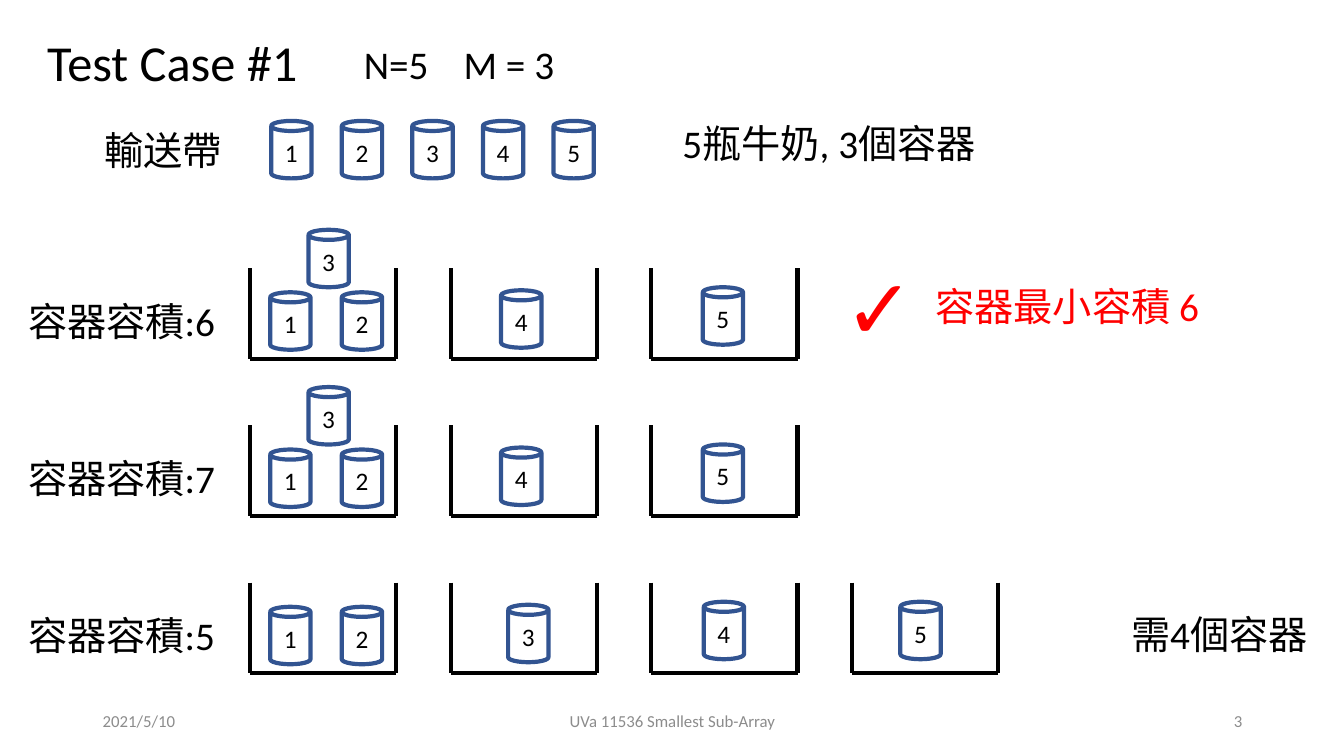
from lxml import etree
from pptx import Presentation
from pptx import util as u
from pptx.dml.color import RGBColor
from pptx.enum import shapes, text
from pptx.oxml import ns

COLORS = {"ink": "000000", "can": "325491", "answer": "FF0000", "footer": "8C8C8C"}
LATIN, CJK = "Calibri", "Noto Sans CJK SC"
GRID_LEFT, GRID_TOP = 2.48, 2.66
COLUMN, ROW = 1.99, 1.56
BOX_WIDTH, BOX_HEIGHT = 1.45, 0.9
CAN_WIDTH, CAN_HEIGHT = 0.4, 0.57
BELT_PITCH = 0.7
LABEL_DROP = 0.24
PILE = [("1", 0.2, 0.24), ("2", 0.91, 0.24), ("3", 0.58, -0.38)]
TRIAL = [PILE, [("4", 0.5, 0.22)], [("5", 0.51, 0.19)]]
TRIALS = [
    ("6", TRIAL),
    ("7", TRIAL),
    ("5", [PILE[:2], [("3", 0.57, 0.22)], [("4", 0.52, 0.19)], [("5", 0.48, 0.19)]]),
]


def rgb(name):
    """Return a named colour."""
    return RGBColor.from_string(COLORS[name])


def write(frame, words, size=28, color="ink", align="LEFT", anchor="TOP", tab=None):
    """Fill a text frame with one formatted paragraph."""
    frame.word_wrap = True
    frame.vertical_anchor = getattr(text.MSO_ANCHOR, anchor)
    paragraph = frame.paragraphs[0]
    paragraph.alignment = getattr(text.PP_ALIGN, align)
    if tab:
        stops = etree.SubElement(paragraph._p.get_or_add_pPr(), ns.qn("a:tabLst"))
        etree.SubElement(stops, ns.qn("a:tab"), pos=str(u.Inches(tab)), algn="l")
    run = paragraph.add_run()
    run.text = words
    run.font.size = u.Pt(size)
    run.font.name = LATIN
    run.font.color.rgb = rgb(color)
    etree.SubElement(run._r.get_or_add_rPr(), ns.qn("a:ea"), typeface=CJK)


def label(slide, words, left, top, width, height=0.57, grow=True, **style):
    """Place a text box."""
    box = slide.shapes.add_textbox(*map(u.Inches, (left, top, width, height)))
    write(box.text_frame, words, **style)
    if grow:
        box.text_frame.auto_size = text.MSO_AUTO_SIZE.SHAPE_TO_FIT_TEXT


def milk_can(slide, number, left, top):
    """Draw a numbered can of milk."""
    can = slide.shapes.add_shape(
        shapes.MSO_SHAPE.CAN, *map(u.Inches, (left, top, CAN_WIDTH, CAN_HEIGHT)))
    can.shadow.inherit = False
    can.fill.background()
    can.line.color.rgb = rgb("can")
    can.line.width = u.Pt(3)
    write(can.text_frame, number, size=18, align="CENTER", anchor="MIDDLE")


def container(slide, left, top):
    """Draw an open container from three walls."""
    right, bottom = left + BOX_WIDTH, top + BOX_HEIGHT
    walls = slide.shapes.add_group_shape()
    for ends in ((left, top, left, bottom), (left, bottom, right, bottom),
                 (right, top, right, bottom)):
        wall = walls.shapes.add_connector(
            shapes.MSO_CONNECTOR.STRAIGHT, *map(u.Inches, ends))
        wall.line.color.rgb = rgb("ink")
        wall.line.width = u.Pt(3)
        etree.SubElement(wall._element.spPr, ns.qn("a:effectLst"))


def trial(slide, row, capacity, loads):
    """Draw one capacity trial with its containers and cans."""
    top = GRID_TOP + row * ROW
    label(slide, f"容器容積:{capacity}", 0.18, top + LABEL_DROP, 2.24)
    for column, load in enumerate(loads):
        left = GRID_LEFT + column * COLUMN
        container(slide, left, top)
        for number, across, down in load:
            milk_can(slide, number, left + across, top + down)


def footer(slide, words, left, width, align):
    """Place one part of the footer."""
    label(slide, words, left, 6.95, width, 0.4, grow=False,
          size=12, color="footer", align=align, anchor="MIDDLE")


def main():
    """Build the slide and save it."""
    deck = Presentation()
    deck.slide_width, deck.slide_height = u.Inches(13.33), u.Inches(7.5)
    slide = deck.slides.add_slide(deck.slide_layouts[6])
    footer(slide, "2021/5/10", 0.92, 3, "LEFT")
    footer(slide, "UVa 11536 Smallest Sub-Array", 4.42, 4.5, "CENTER")
    footer(slide, "3", 9.42, 3, "RIGHT")
    label(slide, "Test Case #1", 0.37, 0.26, 3.03, 0.71, size=36)
    label(slide, "N=5\tM = 3", 3.51, 0.35, 2.24, tab=0.99)
    label(slide, "輸送帶", 0.94, 1.2, 1.54)
    for place in range(5):
        milk_can(slide, str(place + 1), 2.69 + place * BELT_PITCH, 1.2)
    label(slide, "5瓶牛奶, 3個容器", 6.67, 1.13, 3.22)
    for row, (capacity, loads) in enumerate(TRIALS):
        trial(slide, row, capacity, loads)
    label(slide, "✓", 8.28, 2.49, 0.91, 1.11, size=60, color="answer")
    label(slide, "容器最小容積 6", 9.18, 2.75, 3.01, color="answer")
    label(slide, "需4個容器", 11.12, 6.01, 2)
    deck.save("out.pptx")


if __name__ == "__main__":
    main()
